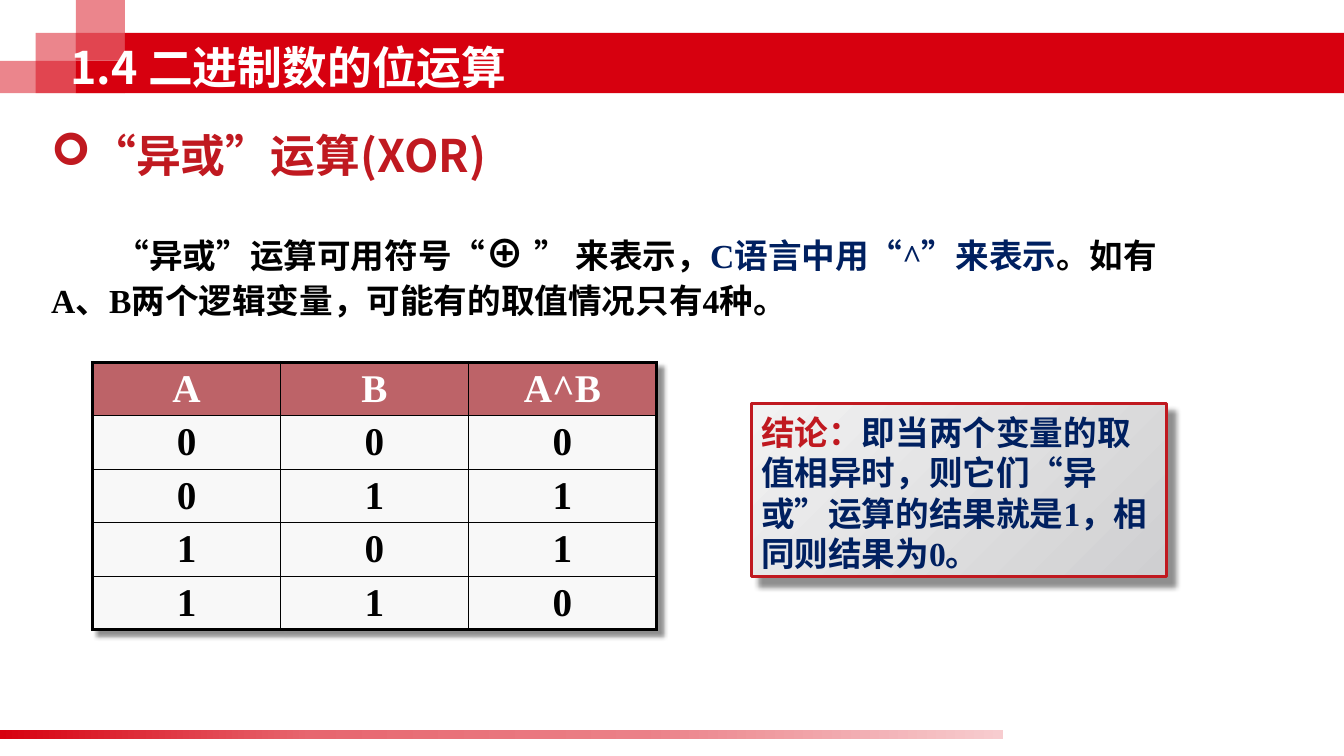
"""Build the slide on the binary XOR operation, with its truth table and conclusion."""
from pptx import Presentation, oxml, util as u
from pptx.dml import color
from pptx.enum import shapes, text
from pptx.oxml import ns

Pt = u.Pt
rgb = color.RGBColor.from_string
RED, CRIMSON, NAVY, BLACK, WHITE = "D7000F", "C01920", "002060", "000000", "FFFFFF"
SERIF, SANS = "Times New Roman", "Noto Sans CJK SC"


def element(tag, attributes="", content=""):
    return oxml.parse_xml(f'<a:{tag} {ns.nsdecls("a")} {attributes}>{content}</a:{tag}>')


def style(font, size, latin, hue):
    font.size, font.bold, font.name = Pt(size), True, latin
    font.color.rgb = rgb(hue)
    font._rPr.find(ns.qn("a:latin")).addnext(element("ea", f'typeface="{SANS}"'))


deck = Presentation()
deck.slide_width, deck.slide_height = Pt(960), Pt(540)
slide = deck.slides.add_slide(deck.slide_layouts[6])

header_blocks = [
    (89.3, 23.5, 870.7, 43, 100),
    (0, 43.4, 89.3, 23.1, 48),
    (25.5, 23.5, 28.7, 43, 48),
    (54.2, 0, 35.1, 43.4, 48),
    (54.2, 23.5, 35.1, 19.9, 48),
    (54.2, 43.4, 35.1, 23.1, 100),
]
for left, top, width, height, opacity in header_blocks:
    block = slide.shapes.add_shape(
        shapes.MSO_SHAPE.RECTANGLE, Pt(left), Pt(top), Pt(width), Pt(height))
    block.shadow.inherit = False
    block.line.fill.background()
    block.fill.solid()
    block.fill.fore_color.rgb = rgb(RED)
    if opacity < 100:
        block.fill._xPr.find(".//" + ns.qn("a:srgbClr")).append(
            element("alpha", f'val="{opacity * 1000}"'))

footer_bar = slide.shapes.add_shape(
    shapes.MSO_SHAPE.RECTANGLE, Pt(0), Pt(521.7), Pt(716.4), Pt(6))
footer_bar.line.fill.background()
conclusion = slide.shapes.add_shape(
    shapes.MSO_SHAPE.RECTANGLE, Pt(536.6), Pt(288.2), Pt(296.6), Pt(123.8))
conclusion.line.color.rgb = rgb(CRIMSON)
conclusion.line.width = Pt(2.25)
gradients = [
    (footer_bar, 0, [(0, RED), (31, "E7666F"), (64, "EB8087"), (100, "F7CCCF")]),
    (conclusion, 225, [(0, "CFCFD1"), (100, "F2F2F2")]),
]
for panel, angle, stops in gradients:
    panel.shadow.inherit = False
    stop_list = "".join(
        f'<a:gs pos="{pos * 1000}"><a:srgbClr val="{hue}"/></a:gs>' for pos, hue in stops)
    panel._element.spPr.find(ns.qn("a:prstGeom")).addnext(element(
        "gradFill", 'rotWithShape="1"',
        f'<a:gsLst>{stop_list}</a:gsLst><a:lin ang="{angle * 60000}" scaled="0"/>'))

shadow = '<a:outerShdw blurRad="{}" dist="{}" dir="2700000" algn="tl" rotWithShape="0">' \
    '<a:srgbClr val="000000"><a:alpha val="43000"/></a:srgbClr></a:outerShdw>'
conclusion._element.spPr.find(ns.qn("a:effectLst")).append(
    element("effectLst", "", shadow.format(Pt(4), Pt(8.4)))[0])

conclusion_frame = conclusion.text_frame
conclusion_frame.word_wrap = True
conclusion_frame.vertical_anchor = text.MSO_ANCHOR.MIDDLE
conclusion_frame.margin_top, conclusion_frame.margin_bottom = Pt(6), Pt(2.5)

intro = slide.shapes.add_textbox(Pt(29.5), Pt(85), Pt(843), Pt(139.7)).text_frame
intro.word_wrap = True
heading, explanation = intro.paragraphs[0], intro.add_paragraph()
explanation.space_before = Pt(37)
heading_props = heading._p.get_or_add_pPr()
heading_props.set("marL", str(Pt(27)))
heading_props.set("indent", str(-Pt(27)))
heading_props.append(element("buFont", 'typeface="Wingdings"'))
heading_props.append(element("buChar", 'char="➢"'))
explanation._p.get_or_add_pPr().set("indent", str(Pt(46)))

passages = [
    (heading, 41.4, text.PP_ALIGN.LEFT, [
        ("“", 32, SERIF, CRIMSON),
        ("异或", 32, SANS, CRIMSON),
        ("”", 32, SERIF, CRIMSON),
        ("运算(XOR)", 32, SANS, CRIMSON)]),
    (explanation, 31, text.PP_ALIGN.LEFT, [
        ("“异或”运算可用符号“", 24, SERIF, BLACK),
        ("⊕", 28, SERIF, BLACK),
        (" ", 32, SERIF, BLACK),
        ("” 来表示，", 24, SERIF, BLACK),
        ("C语言中用“^”来表示", 24, SERIF, NAVY),
        ("。如有A、B两个逻辑变量，可能有的取值情况只有4种。", 24, SERIF, BLACK)]),
    (conclusion_frame.paragraphs[0], 28.8, text.PP_ALIGN.LEFT, [
        ("结论：", 24, SANS, CRIMSON),
        ("即当两个变量的取值相异时，则它们“异或”运算的结果就是1，相同则结果为0。",
         24, SERIF, NAVY)]),
]
for paragraph, pitch, alignment, runs in passages:
    paragraph.line_spacing = Pt(pitch)
    paragraph.alignment = alignment
    for words, size, latin, hue in runs:
        run = paragraph.add_run()
        run.text = words
        style(run.font, size, latin, hue)

truth_rows = [("A", "B", "A^B")] + [
    (str(a), str(b), str(a ^ b)) for a in (0, 1) for b in (0, 1)]
last_row, last_column = len(truth_rows) - 1, 2
truth_table = slide.shapes.add_table(
    5, 3, Pt(66.2), Pt(258.8), Pt(402.6), Pt(191)).table
truth_table._tbl.tblPr.insert(
    0, element("effectLst", "", shadow.format(Pt(3), Pt(5))))
for column in truth_table.columns:
    column.width = Pt(134.2)
for r, values in enumerate(truth_rows):
    truth_table.rows[r].height = Pt(38.2)
    for c, value in enumerate(values):
        cell = truth_table.cell(r, c)
        outer_edges = {"L": c == 0, "R": c == last_column, "T": r == 0, "B": r == last_row}
        for side, outer in outer_edges.items():
            cell._tc.get_or_add_tcPr().append(element(
                f"ln{side}", f'w="{Pt(2.25 if outer else 1)}"',
                f'<a:solidFill><a:srgbClr val="{BLACK}"/></a:solidFill>'))
        cell.fill.solid()
        cell.fill.fore_color.rgb = rgb("F8F8F8" if r else "BD6368")
        cell.margin_top = cell.margin_bottom = 0
        cell.vertical_anchor = text.MSO_ANCHOR.MIDDLE
        cell.text = value
        entry = cell.text_frame.paragraphs[0]
        entry.alignment = text.PP_ALIGN.CENTER
        style(entry.font, 28, SERIF, BLACK if r else WHITE)

title = slide.shapes.add_textbox(Pt(43.2), Pt(23.8), Pt(640.8), Pt(48.2)).text_frame
title.word_wrap = True
title.vertical_anchor = text.MSO_ANCHOR.MIDDLE
title.text = "1.4 二进制数的位运算"
style(title.paragraphs[0].font, 32, SANS, WHITE)

deck.save("out.pptx")
